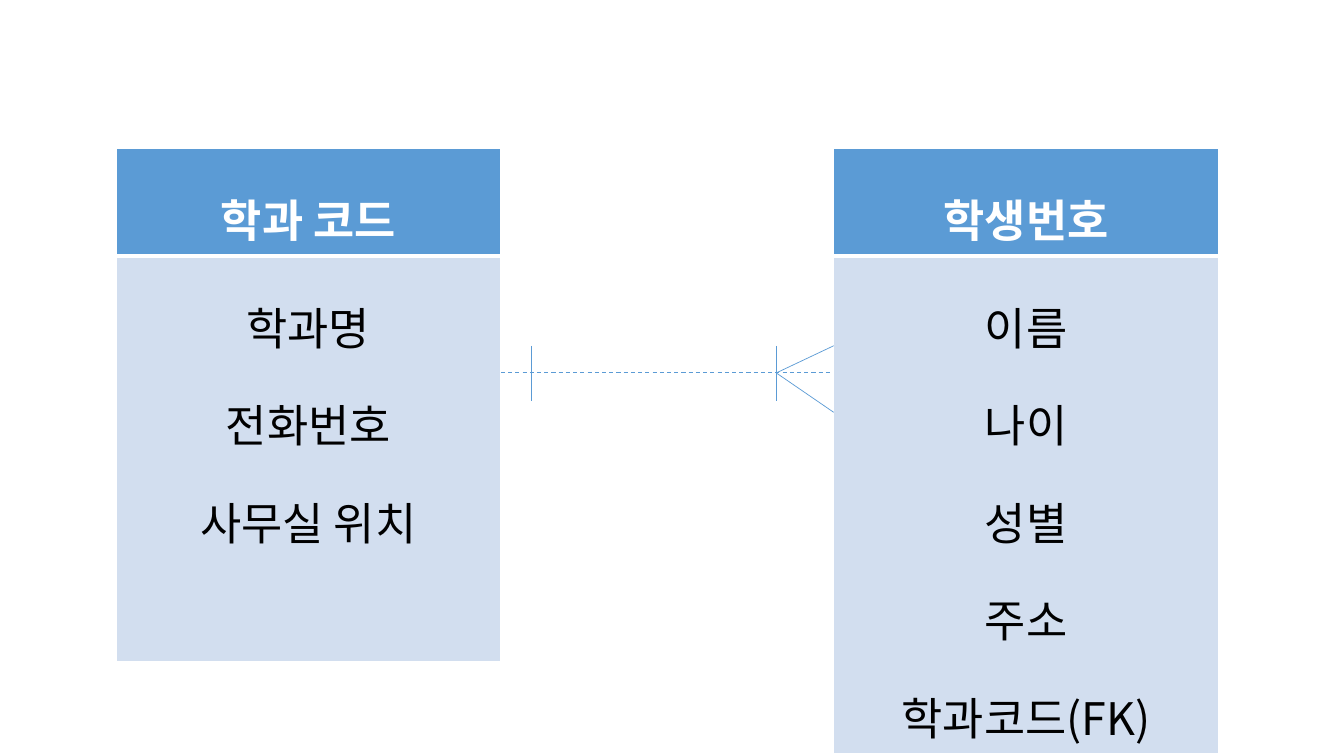
import dataclasses

import lxml.etree
import pptx
import pptx.dml.color
import pptx.enum.dml
import pptx.enum.text
import pptx.oxml
import pptx.oxml.ns
import pptx.slide
import pptx.table
import pptx.util

Pt = pptx.util.Pt
RGBColor = pptx.dml.color.RGBColor
qn = pptx.oxml.ns.qn

BLUE = RGBColor(0x5B, 0x9B, 0xD5)
PALE_BLUE = RGBColor(0xD2, 0xDE, 0xEF)
WHITE = RGBColor(0xFF, 0xFF, 0xFF)
BLACK = RGBColor(0x00, 0x00, 0x00)
FONT = "Noto Sans CJK KR"

ENTITY_TOP = 105.84
ENTITY_WIDTH = 275
ENTITY_HEIGHT = 347.76
KEY_HEIGHT = 46.8
ATTRIBUTES_HEIGHT = 290.16

DEPARTMENT_LEFT = 82.8
STUDENT_LEFT = 595.5
RELATION_Y = 266.4
BAR_TOP, BAR_BOTTOM = 247, 286.6
ONE_BAR_X = 379.5
MANY_BAR_X = 554.5


@dataclasses.dataclass(frozen=True)
class Entity:
    left: float
    key: str
    attributes: tuple[str, ...]


@dataclasses.dataclass(frozen=True)
class Stroke:
    x1: float
    y1: float
    x2: float
    y2: float
    width: float = 0.5
    dashed: bool = False


ENTITIES = (
    Entity(DEPARTMENT_LEFT, "학과 코드", ("학과명", "전화번호", "사무실 위치")),
    Entity(STUDENT_LEFT, "학생번호", ("이름", "나이", "성별", "주소", "학과코드(FK)")),
)

RELATION = Stroke(
    DEPARTMENT_LEFT + ENTITY_WIDTH, RELATION_Y, STUDENT_LEFT, RELATION_Y, 0.75, True
)
CARDINALITY_MARKS = (
    Stroke(ONE_BAR_X, BAR_TOP, ONE_BAR_X, BAR_BOTTOM),
    Stroke(MANY_BAR_X, BAR_TOP, MANY_BAR_X, BAR_BOTTOM),
    Stroke(STUDENT_LEFT, 294.5, MANY_BAR_X, RELATION_Y),
    Stroke(STUDENT_LEFT, BAR_TOP, MANY_BAR_X, RELATION_Y),
)


def draw_stroke(slide: pptx.slide.Slide, stroke: Stroke) -> None:
    connector = slide.shapes.add_connector(
        pptx.enum.shapes.MSO_CONNECTOR.STRAIGHT,
        Pt(stroke.x1), Pt(stroke.y1), Pt(stroke.x2), Pt(stroke.y2),
    )
    connector.line.color.rgb = BLUE
    connector.line.width = Pt(stroke.width)
    if stroke.dashed:
        connector.line.dash_style = pptx.enum.dml.MSO_LINE.DASH
    lxml.etree.SubElement(connector._element.spPr, qn("a:effectLst"))


def set_borders(cell: pptx.table._Cell, widths: dict[str, float]) -> None:
    properties = cell._tc.get_or_add_tcPr()
    for side in ("L", "R", "T", "B"):
        border = lxml.etree.SubElement(
            properties, qn(f"a:ln{side}"), w=str(Pt(widths.get(side, 1)))
        )
        fill = lxml.etree.SubElement(border, qn("a:solidFill"))
        lxml.etree.SubElement(fill, qn("a:srgbClr"), val=str(WHITE))


def fill_cell(
    cell: pptx.table._Cell,
    lines: tuple[str, ...],
    background: RGBColor,
    color: RGBColor,
    bold: bool,
    border_widths: dict[str, float],
) -> None:
    set_borders(cell, border_widths)
    cell.fill.solid()
    cell.fill.fore_color.rgb = background
    cell.text = "\n".join(lines)
    for paragraph in cell.text_frame.paragraphs:
        paragraph.alignment = pptx.enum.text.PP_ALIGN.CENTER
        paragraph.line_spacing = 1.5
        font = paragraph.font
        font.size = Pt(32)
        font.bold = bold
        font.color.rgb = color
        font.name = FONT
        lxml.etree.SubElement(font._element, qn("a:ea"), typeface=FONT)


def draw_entity(slide: pptx.slide.Slide, entity: Entity) -> None:
    frame = slide.shapes.add_table(
        2, 1, Pt(entity.left), Pt(ENTITY_TOP), Pt(ENTITY_WIDTH), Pt(ENTITY_HEIGHT)
    )
    table = frame.table
    table.rows[0].height = Pt(KEY_HEIGHT)
    table.rows[1].height = Pt(ATTRIBUTES_HEIGHT)
    frame.height = Pt(ENTITY_HEIGHT)
    fill_cell(table.cell(0, 0), (entity.key,), BLUE, WHITE, True, {"B": 3})
    fill_cell(table.cell(1, 0), entity.attributes, PALE_BLUE, BLACK, False, {"T": 3})


def main() -> None:
    presentation = pptx.Presentation()
    presentation.slide_width = Pt(960)
    presentation.slide_height = Pt(540)
    slide = presentation.slides.add_slide(presentation.slide_layouts[6])

    draw_stroke(slide, RELATION)
    for entity in ENTITIES:
        draw_entity(slide, entity)
    for mark in CARDINALITY_MARKS:
        draw_stroke(slide, mark)

    presentation.save("out.pptx")


main()
